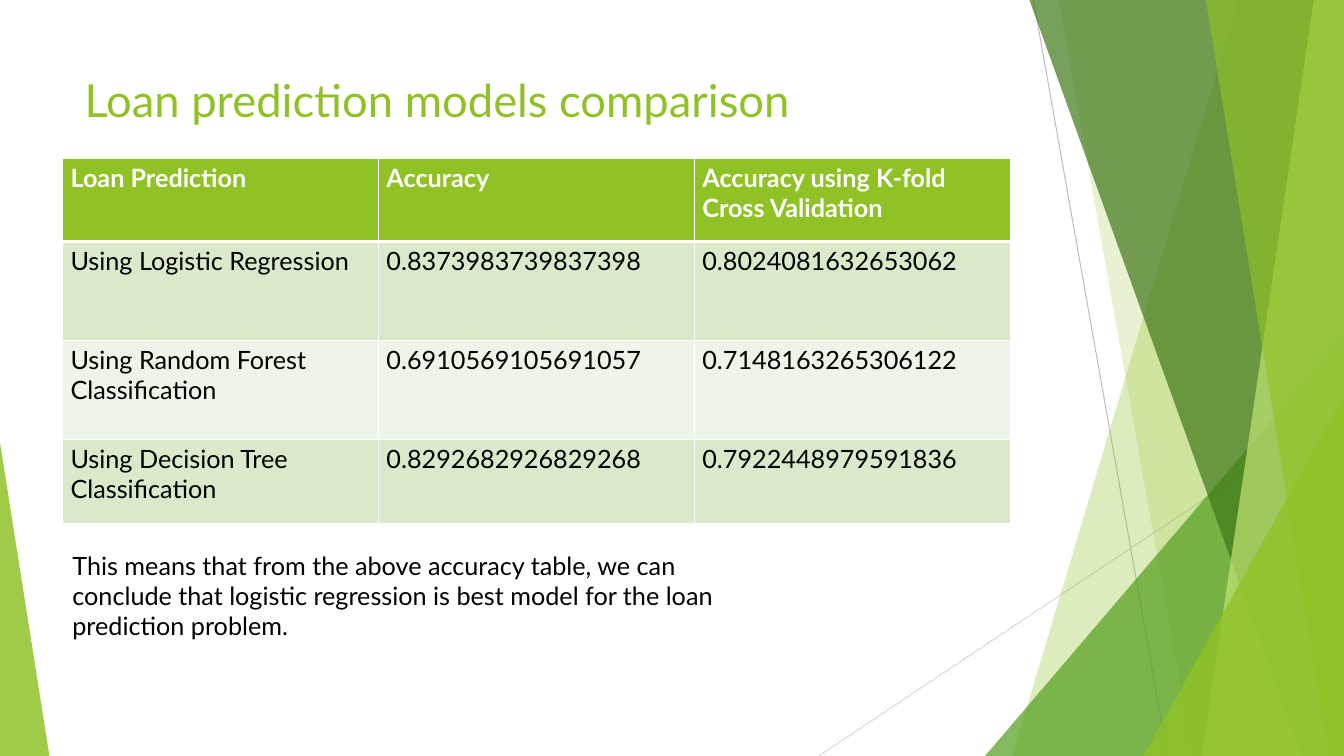
import dataclasses

import lxml.etree
import pptx
import pptx.dml.color
import pptx.enum.shapes
import pptx.enum.text
import pptx.oxml.ns
import pptx.util

Inches = pptx.util.Inches
qn = pptx.oxml.ns.qn


@dataclasses.dataclass(frozen=True)
class Theme:
    """Hold the colours, font and type sizes of the slide."""
    font: str = "Lato"
    title: float = 32.4
    body: float = 18
    green: str = "90C226"
    leaf: str = "54A021"
    dark: str = "3F7819"
    lime: str = "C0E474"
    gray: str = "BFBFBF"
    pale: str = "D9D9D9"
    band: str = "DBE9CB"
    light: str = "EEF4E7"
    white: str = "FFFFFF"
    black: str = "000000"


THEME = Theme()


def color(code):
    """Turn a hex code into a colour."""
    return pptx.dml.color.RGBColor.from_string(code)


def apply(item, values):
    """Set each attribute named in values on the item."""
    for name, value in values.items():
        setattr(item, name, value)


def write(frame, text, size, shade, bold=False):
    """Write one paragraph of styled text into a frame."""
    run = frame.paragraphs[0].add_run()
    run.text = text
    apply(run.font, {"name": THEME.font, "size": pptx.util.Pt(size), "bold": bold})
    run.font.color.rgb = color(shade)


def paint(shape, shade, alpha):
    """Give a shape a see-through fill, no line and no shadow."""
    shape.shadow.inherit = False
    shape.fill.solid()
    shape.fill.fore_color.rgb = color(shade)
    shape.line.fill.background()
    tint = shape.fill._xPr.find(qn("a:solidFill"))[0]
    lxml.etree.SubElement(tint, qn("a:alpha"), val=str(alpha * 1000))


def stroke(slide, box, start, end, shade):
    """Draw a thin line between two points of the box."""
    left, top = box[:2]
    ends = [Inches(base + value) for point in (start, end)
            for base, value in zip((left, top), point)]
    line = slide.shapes.add_connector(pptx.enum.shapes.MSO_CONNECTOR.STRAIGHT, *ends)
    line.line.color.rgb = color(shade)
    line.line.width = pptx.util.Pt(0.75)
    lxml.etree.SubElement(line._element.spPr, qn("a:effectLst"))


def wedge(slide, box, head, foot, shade, alpha):
    """Fill the box from a slanted left edge to its right side."""
    left, top, width, height = box
    points = [(Inches(left + x), Inches(top + y)) for x, y in
              ((head, 0), (width, 0), (width, height), (foot, height))]
    path = slide.shapes.build_freeform(*points[0])
    path.add_line_segments(points[1:])
    paint(path.convert_to_shape(), shade, alpha)


def corner(slide, box, width, height, tip, shade, alpha):
    """Set a right triangle in a lower corner, its tip at the side."""
    left, top, wide, high = box
    shape = slide.shapes.add_shape(
        pptx.enum.shapes.MSO_SHAPE.ISOSCELES_TRIANGLE,
        Inches(left + tip * (wide - width)), Inches(top + high - height),
        Inches(width), Inches(height))
    shape.adjustments[0] = tip
    paint(shape, shade, alpha)


def facets(slide, box):
    """Draw the overlapping green facets at the slide edges."""
    stroke(slide, box, (10.25, 0), (11.58, 7.5), THEME.gray)
    stroke(slide, box, (13.33, 4.03), (8.12, 7.5), THEME.pale)
    parts = [
        (wedge, 12.28, 10.04, THEME.green, 30),
        (wedge, 10.5, 11.83, THEME.green, 20),
        (corner, 3.56, 4.17, 1, THEME.leaf, 72),
        (wedge, 10.21, 12.91, THEME.dark, 70),
        (wedge, 13.03, 11.92, THEME.lime, 70),
        (wedge, 11.96, 13.18, THEME.green, 65),
        (corner, 1.99, 3.57, 1, THEME.green, 80),
        (corner, 0.49, 3.11, 0, THEME.green, 85),
    ]
    for draw, *values in parts:
        draw(slide, box, *values)


def prose(slide, box, text, size, shade):
    """Place wrapped text at the top of the box."""
    frame = slide.shapes.add_textbox(*map(Inches, box)).text_frame
    apply(frame, {"word_wrap": True, "vertical_anchor": pptx.enum.text.MSO_ANCHOR.TOP})
    write(frame, text, size, shade)


def edge(cell, sides):
    """Draw white borders of the given widths around a cell."""
    props = cell._tc.get_or_add_tcPr()
    for side, width in sides.items():
        line = lxml.etree.SubElement(props, qn(f"a:ln{side}"), w=str(pptx.util.Pt(width)))
        fill = lxml.etree.SubElement(line, qn("a:solidFill"))
        lxml.etree.SubElement(fill, qn("a:srgbClr"), val=THEME.white)


def scores(slide, box, rows, heights):
    """Build the accuracy table with equal columns and banded rows."""
    count = len(rows[0])
    table = slide.shapes.add_table(len(rows), count, *map(Inches, box)).table
    for column in table.columns:
        column.width = Inches(box[2] / count)
    fills = [THEME.green, THEME.band, THEME.light, THEME.band]
    pads = {"margin_left": 0.08, "margin_top": 0.04,
            "margin_right": 0.08, "margin_bottom": 0.04}
    for i, (row, height, shade) in enumerate(zip(rows, heights, fills)):
        table.rows[i].height = Inches(height)
        head = i == 0
        sides = {"L": 0.8, "R": 0.8, "T": 2.4 if i == 1 else 0.8, "B": 2.4 if head else 0.8}
        for j, text in enumerate(row):
            cell = table.cell(i, j)
            apply(cell, {name: Inches(pad) for name, pad in pads.items()})
            edge(cell, sides)
            cell.fill.solid()
            cell.fill.fore_color.rgb = color(shade)
            write(cell.text_frame, text, THEME.body,
                  THEME.white if head else THEME.black, head)


def main():
    """Build and save the model comparison slide."""
    deck = pptx.Presentation()
    apply(deck, {"slide_width": Inches(13.33), "slide_height": Inches(7.5)})
    slide = deck.slides.add_slide(deck.slide_layouts[6])
    facets(slide, (0, 0, 13.33, 7.5))
    prose(slide, (0.74, 0.67, 9.4, 0.83), "Loan prediction models comparison",
          THEME.title, THEME.green)
    scores(slide, (0.62, 1.57, 9.4, 3.63), [
        ("Loan Prediction", "Accuracy", "Accuracy using K-fold Cross Validation"),
        ("Using Logistic Regression", "0.8373983739837398", "0.8024081632653062"),
        ("Using Random Forest Classification", "0.6910569105691057", "0.7148163265306122"),
        ("Using Decision Tree Classification", "0.8292682926829268", "0.7922448979591836"),
    ], (0.83, 0.98, 0.98, 0.83))
    prose(slide, (0.62, 5.41, 6.67, 1.62),
          "This means that from the above accuracy table, we can conclude that "
          "logistic regression is best model for the loan prediction problem.",
          THEME.body, THEME.black)
    deck.save("out.pptx")


main()
